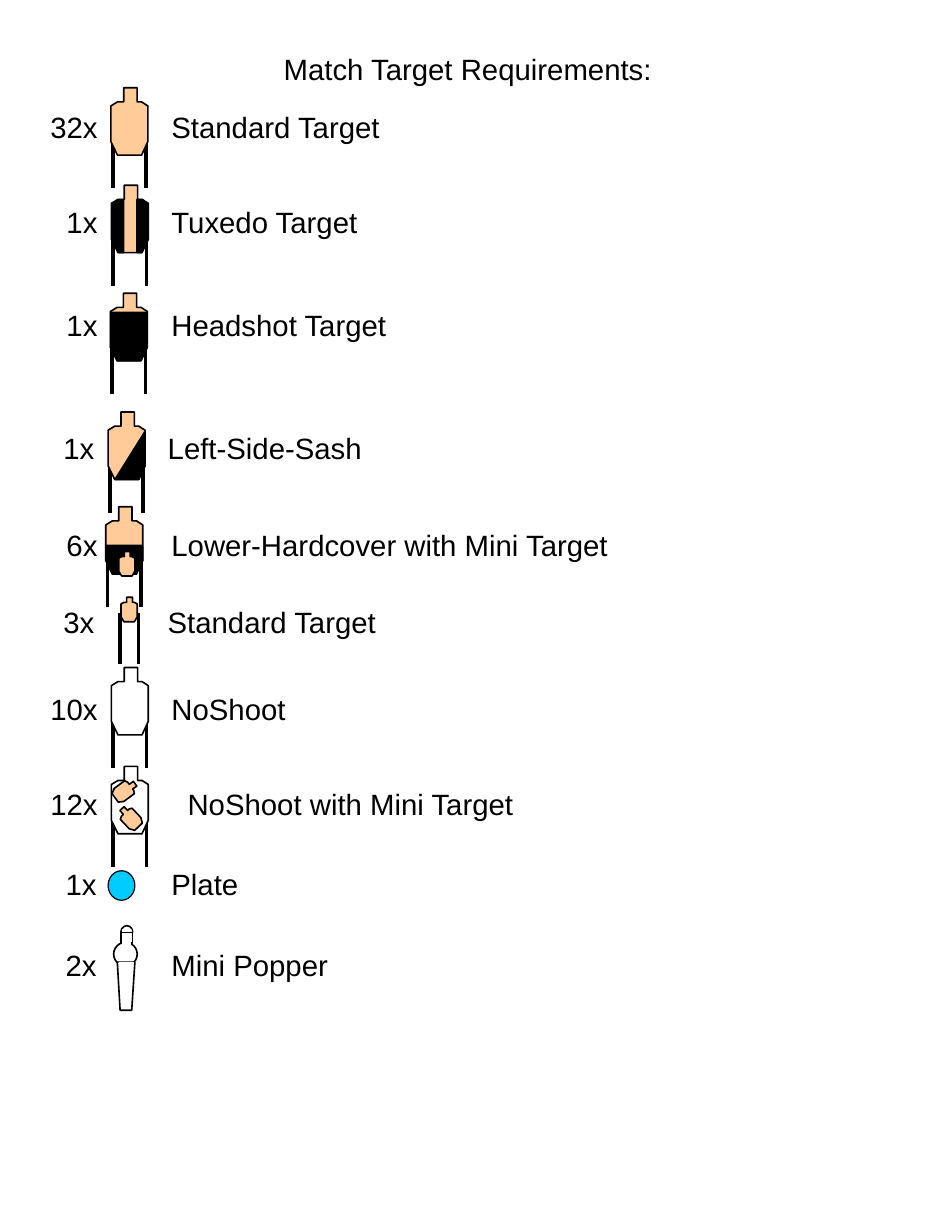
import pptx
import pptx.dml.color
import pptx.enum.shapes
import pptx.util
from lxml import etree
from pptx.oxml.ns import qn

Cm = pptx.util.Cm
Pt = pptx.util.Pt
RGBColor = pptx.dml.color.RGBColor
Shape = pptx.enum.shapes.MSO_SHAPE

BLACK = RGBColor(0x00, 0x00, 0x00)
WHITE = RGBColor(0xFF, 0xFF, 0xFF)
CARDBOARD = RGBColor(0xFF, 0xCC, 0x99)
PLATE_BLUE = RGBColor(0x00, 0xCC, 0xFF)

FULL_SIZE = (0.8, 1.46)
MINI_SIZE = (0.35, 0.53)

SILHOUETTE = [(0.35, 0), (0.71, 0), (0.71, 0.21), (0.83, 0.21), (1, 0.27), (1, 0.8),
              (0.83, 1), (0.18, 1), (0, 0.8), (0, 0.27), (0.18, 0.21), (0.35, 0.21)]
TUXEDO_RIGHT = [(0.69, 0.21), (0.69, 1), (0.82, 1), (1, 0.8), (1, 0.27), (0.82, 0.21)]
TUXEDO_LEFT = [(0.34, 0.21), (0.34, 1), (0.2, 1), (0.02, 0.8), (0.02, 0.27), (0.2, 0.21)]
HEADSHOT = [(0, 0.28), (1, 0.28), (1, 0.8), (0.8, 1), (0.18, 1), (0, 0.8)]
SASH = [(1, 0.28), (1, 0.8), (0.83, 1), (0.18, 1)]
LOWER_HALF = [(0, 0.57), (1, 0.57), (1, 0.8), (0.8, 1), (0.18, 1), (0, 0.8)]

ROWS = [
    ("32x", "Standard Target", 0.84, 2.24, 8.05, 3.71),
    ("1x", "Tuxedo Target", 1.19, 4.29, 6.95, 3.71),
    ("1x", "Headshot Target", 1.19, 6.53, 7.6, 3.71),
    ("1x", "Left-Side-Sash", 1.12, 9.19, 7.15, 3.63),
    ("6x", "Lower-Hardcover with Mini Target", 1.19, 11.28, 12.45, 3.71),
    ("3x", "Standard Target", 1.12, 12.95, 8.05, 3.63),
    ("10x", "NoShoot", 0.84, 14.83, 5.75, 3.71),
    ("12x", "NoShoot with Mini Target", 0.84, 16.89, 10.75, 4.06),
    ("1x", "Plate", 1.17, 18.62, 4.35, 3.71),
    ("2x", "Mini Popper", 1.17, 20.37, 6.35, 3.71),
]

TARGETS = [
    (2.4, 1.9, CARDBOARD, []),
    (2.41, 4.01, CARDBOARD, [TUXEDO_RIGHT, TUXEDO_LEFT]),
    (2.39, 6.35, CARDBOARD, [HEADSHOT]),
    (2.34, 8.92, CARDBOARD, [SASH]),
    (2.29, 10.97, CARDBOARD, [LOWER_HALF]),
    (2.41, 14.45, WHITE, []),
    (2.41, 16.59, WHITE, []),
]


class TargetSheet:
    font_name = "Arial"
    font_size = Pt(18)
    inset = 0.25

    def __init__(self, slide):
        self.slide = slide

    def text(self, content, left, top, width, label_left=None):
        box = self.slide.shapes.add_textbox(Cm(left), Cm(top), Cm(width), Cm(1.02))
        box.text_frame.word_wrap = True
        paragraph = box.text_frame.paragraphs[0]
        if label_left is not None:
            tabs = etree.SubElement(paragraph._p.get_or_add_pPr(), qn("a:tabLst"))
            position = Cm(label_left - left - self.inset)
            etree.SubElement(tabs, qn("a:tab"), pos=str(int(position)), algn="l")
        paragraph.text = content
        paragraph.font.name = self.font_name
        paragraph.font.size = self.font_size
        paragraph.font.color.rgb = BLACK

    def paint(self, shape, fill, line=BLACK, weight=1):
        shape.shadow.inherit = False
        shape.fill.solid()
        shape.fill.fore_color.rgb = fill
        if line is None:
            shape.line.fill.background()
        else:
            shape.line.color.rgb = line
            shape.line.width = Pt(weight)

    def preset(self, kind, left, top, width, height, fill, line=BLACK, weight=1):
        shape = self.slide.shapes.add_shape(kind, Cm(left), Cm(top), Cm(width), Cm(height))
        self.paint(shape, fill, line, weight)

    def outline(self, points, left, top, size, fill, weight=1, rotation=0):
        width, height = size
        corners = [(Cm(left + x * width), Cm(top + y * height)) for x, y in points]
        builder = self.slide.shapes.build_freeform(*corners[0])
        builder.add_line_segments(corners[1:], close=True)
        shape = builder.convert_to_shape()
        shape.rotation = rotation
        self.paint(shape, fill, weight=weight)

    def posts(self, left, right, top, bottom):
        for x in (left, right):
            post = self.slide.shapes.add_connector(
                pptx.enum.shapes.MSO_CONNECTOR.STRAIGHT, Cm(x), Cm(top), Cm(x), Cm(bottom))
            post.line.color.rgb = BLACK
            post.line.width = Pt(2.25)
            etree.SubElement(post._element.spPr, qn("a:effectLst"))

    def target(self, left, top, fill, hardcover):
        self.posts(left + 0.04, left + 0.76, top + 1.07, top + 2.18)
        self.outline(SILHOUETTE, left, top, FULL_SIZE, fill)
        for area in hardcover:
            self.outline(area, left, top, FULL_SIZE, BLACK, weight=0)

    def mini_target(self, left, top, rotation=0):
        self.outline(SILHOUETTE, left, top, MINI_SIZE, CARDBOARD, rotation=rotation)

    def popper(self):
        self.preset(Shape.OVAL, 2.62, 20.04, 0.25, 0.25, WHITE)
        self.preset(Shape.OVAL, 2.46, 20.4, 0.51, 0.51, WHITE)
        self.outline([(0, 0), (1, 0), (0.82, 1), (0.16, 1)], 2.54, 20.83, (0.38, 1.04), WHITE)
        self.preset(Shape.RECTANGLE, 2.62, 20.17, 0.25, 0.25, WHITE)
        self.preset(Shape.RECTANGLE, 2.57, 20.83, 0.33, 0.05, WHITE, line=None)
        self.preset(Shape.RECTANGLE, 2.65, 20.4, 0.18, 0.05, WHITE, line=WHITE)
        self.preset(Shape.RECTANGLE, 2.65, 20.14, 0.19, 0.03, WHITE, line=WHITE)


def main():
    presentation = pptx.Presentation()
    presentation.slide_width = Cm(20.32)
    presentation.slide_height = Cm(26.67)
    sheet = TargetSheet(presentation.slides.add_slide(presentation.slide_layouts[6]))

    sheet.text("Match Target Requirements:", 5.89, 0.99, 8.7)
    for quantity, label, left, top, width, label_left in ROWS:
        sheet.text(f"{quantity}\t{label}", left, top, width, label_left)

    for left, top, fill, hardcover in TARGETS:
        sheet.target(left, top, fill, hardcover)

    sheet.posts(2.59, 3, 13.26, 14.38)
    for left, top, rotation in [(2.57, 11.94, 0), (2.62, 12.93, 0),
                                (2.53, 16.85, 53.6), (2.64, 17.44, 316.7)]:
        sheet.mini_target(left, top, rotation)

    sheet.preset(Shape.OVAL, 2.34, 18.85, 0.58, 0.64, PLATE_BLUE, weight=0.75)
    sheet.popper()
    presentation.save("out.pptx")


if __name__ == "__main__":
    main()
